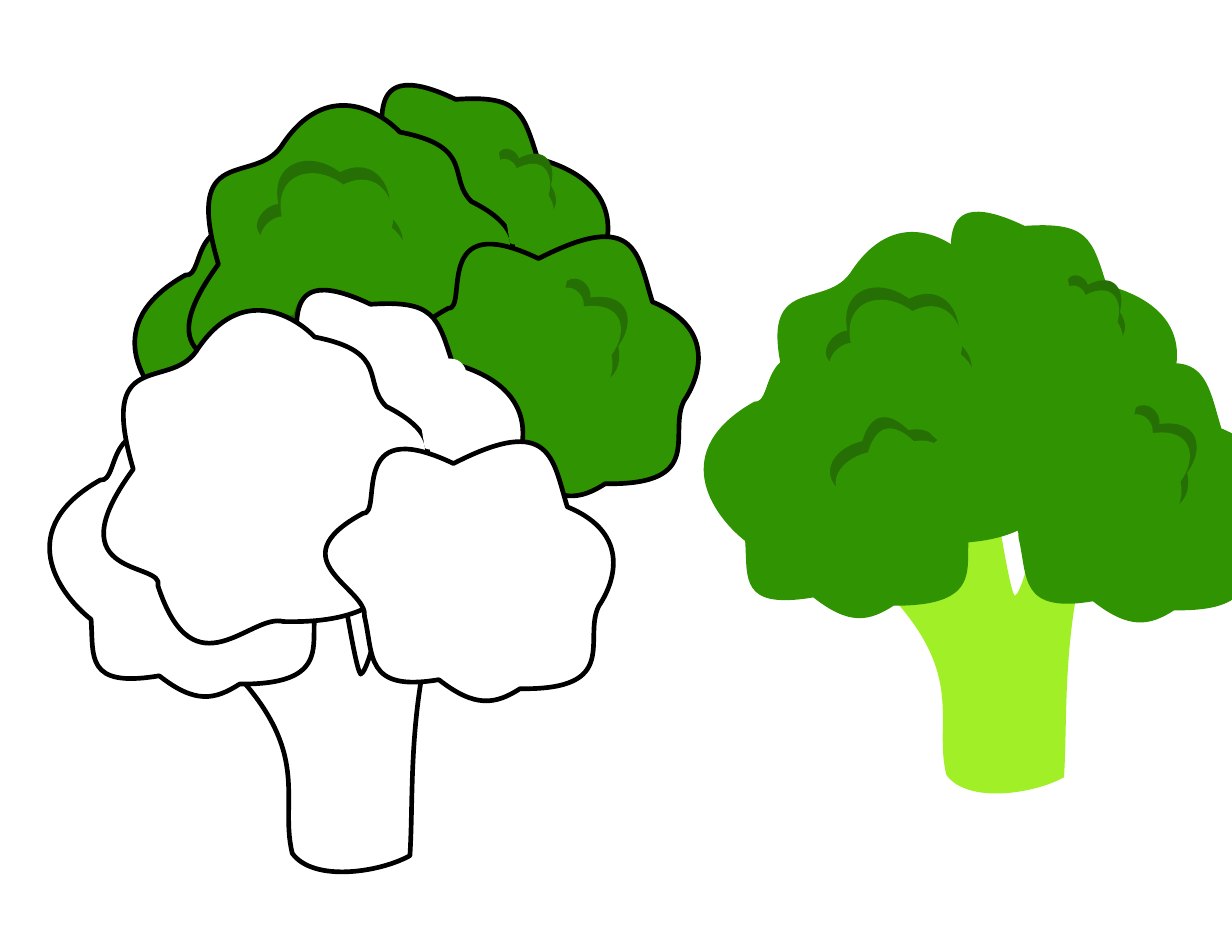
from lxml import etree
from pptx import Presentation
from pptx.dml.color import RGBColor
from pptx.oxml.ns import qn
from pptx.util import Inches, Pt

GREEN, DARK_GREEN, LIME = "309302", "266F05", "A1EF27"
WHITE, BLACK = "FFFFFF", "000000"

# Each part: frame (left, top, width, height), rotation, start point,
# then Bezier curves (control, control, end)
TOP_FLORET = ((2.77, 0.84, 2.81, 2.49), 39.6, (4.23, 1.17), [
    (5.04, 0.8, 5.25, 1.42, 5.27, 1.63), (5.5, 1.78, 6.21, 2.07, 5.5, 2.65),
    (5.42, 2.9, 5, 3.05, 4.59, 3.06), (4.15, 3.56, 4.03, 3.3, 3.81, 3.05),
    (3.42, 3.06, 2.75, 2.87, 3.07, 2.05), (3.24, 1.94, 2.29, 1.49, 3.33, 1.23),
    (3.74, 0.84, 3.86, 0.93, 4.23, 1.17)])
STALK = ((2.39, 2.97, 2.38, 2.98), 0, (2.39, 3.75), [
    (2.77, 3.78, 2.42, 3.3, 2.79, 3.33), (2.87, 3.36, 3.34, 4.12, 3.42, 4.14),
    (3.48, 4.13, 3.19, 3.05, 3.25, 3.03), (3.43, 3.16, 3.54, 2.88, 3.73, 3.01),
    (3.78, 3.08, 3.92, 4.12, 3.98, 4.19), (4.08, 4.15, 4.23, 3.22, 4.34, 3.17),
    (4.49, 3.21, 4.58, 3.14, 4.77, 3.28), (4.38, 4.36, 4.46, 5.19, 4.42, 5.81),
    (4.15, 5.96, 3.56, 6.05, 3.37, 5.79), (3.23, 5.23, 3.67, 4.77, 2.39, 3.75)])
LEFT_FLORET = ((1.27, 1.94, 2.42, 2.49), 39.6, (2.79, 2.23), [
    (3.4, 2.04, 3.55, 2.52, 3.57, 2.74), (3.65, 3.05, 4.21, 3.18, 3.5, 3.76),
    (3.42, 4.01, 3.31, 4.15, 2.9, 4.16), (2.46, 4.67, 2.34, 4.4, 2.11, 4.16),
    (1.73, 4.17, 1.06, 3.98, 1.38, 3.15), (1.55, 3.04, 0.9, 2.59, 1.93, 2.33),
    (2.41, 1.86, 2.42, 2, 2.79, 2.23)])
MAIN_FLORET = ((1.69, 0.94, 2.89, 2.97), 0, (2.51, 1.31), [
    (2.91, 0.69, 3.4, 1, 3.57, 1.18), (4.25, 1.31, 3.99, 1.59, 4.21, 1.8),
    (4.89, 2.14, 4.44, 2.46, 4.32, 2.69), (4.41, 3.06, 4.49, 3.75, 3.29, 3.72),
    (3, 3.64, 2.49, 4.38, 2.17, 3.4), (2.24, 3.18, 1.22, 3.35, 1.95, 2.36),
    (1.63, 1.27, 2.26, 1.66, 2.51, 1.31)])
RIGHT_FLORET = ((3.79, 2, 2.36, 2.52), 39.6, (5.27, 2.28), [
    (5.88, 2.09, 6.03, 2.56, 6.05, 2.78), (6.12, 3.1, 6.69, 3.23, 5.98, 3.8),
    (5.9, 4.05, 5.78, 4.19, 5.37, 4.2), (4.93, 4.71, 4.78, 4.4, 4.5, 4.19),
    (4.36, 3.97, 3.57, 4.31, 3.9, 3.49), (4.06, 3.38, 3.2, 2.89, 4.24, 2.63),
    (4.63, 1.72, 4.9, 2.04, 5.27, 2.28)])

# Creases, each with the shift of the cover that leaves only a crescent
CREASES = [
    (((2.33, 2.59, 0.96, 0.75), 0, (2.58, 3.34), [
        (2.16, 3.17, 2.34, 2.87, 2.62, 2.81), (2.72, 2.47, 2.93, 2.61, 3.03, 2.71),
        (3.24, 2.68, 3.23, 2.77, 3.29, 2.8)]), (0.05, 0.1)),
    (((2.35, 1.4, 1.25, 1.13), 23.6, (2.49, 2.36), [
        (2.29, 2.34, 2.35, 2.09, 2.47, 2.03), (2.25, 1.72, 2.52, 1.47, 2.86, 1.55),
        (3.09, 1.27, 3.38, 1.5, 3.41, 1.73), (3.61, 1.78, 3.67, 1.95, 3.63, 2.05)]),
     (0.03, 0.11)),
    (((4.67, 2.56, 0.98, 0.91), 70.6, (4.65, 2.94), [
        (4.62, 2.83, 4.75, 2.74, 4.86, 2.79), (4.93, 2.44, 5.2, 2.48, 5.35, 2.7),
        (5.62, 2.74, 5.66, 2.95, 5.53, 3.12), (5.62, 3.28, 5.58, 3.39, 5.49, 3.42)]),
     (-0.06, 0.08)),
    (((4.28, 1.36, 0.73, 0.68), 60.5, (4.26, 1.7), [
        (4.22, 1.63, 4.31, 1.55, 4.39, 1.57), (4.4, 1.3, 4.6, 1.3, 4.74, 1.44),
        (4.95, 1.43, 5, 1.58, 4.93, 1.72), (5.01, 1.83, 5, 1.92, 4.94, 1.95)]),
     (-0.02, 0.09)),
]


def color(hex_string):
    return RGBColor.from_string(hex_string)


def bend_segments(shape, frame):
    """Turn each three line segments into one Bezier curve inside the frame."""
    left, top, width, height = frame
    path = shape._element.find(".//" + qn("a:path"))
    for point in path.iter(qn("a:pt")):
        point.set("x", str(int(point.get("x")) + shape.left - left))
        point.set("y", str(int(point.get("y")) + shape.top - top))
    path.set("w", str(width))
    path.set("h", str(height))
    segments = path.findall(qn("a:lnTo"))
    for index in range(0, len(segments), 3):
        curve = etree.Element(qn("a:cubicBezTo"))
        segments[index].addprevious(curve)
        for segment in segments[index:index + 3]:
            curve.append(segment[0])
            path.remove(segment)
    shape.left, shape.top, shape.width, shape.height = frame


def add_curved_shape(group, part, shift, fill, line=None, closed=True):
    (left, top, width, height), rotation, start, curves = part
    shift_x, shift_y = shift

    def place(x, y):
        return Inches(x + shift_x), Inches(y + shift_y)

    vertices = [place(curve[i], curve[i + 1]) for curve in curves for i in (0, 2, 4)]
    builder = group.shapes.build_freeform(*place(*start), scale=1.0)
    builder.add_line_segments(vertices, close=closed)
    shape = builder.convert_to_shape()
    bend_segments(shape, (*place(left, top), Inches(width), Inches(height)))
    shape.rotation = rotation
    shape.shadow.inherit = False
    shape.fill.solid()
    shape.fill.fore_color.rgb = color(fill)
    if line:
        shape.line.color.rgb = color(line)
        shape.line.width = Pt(3)
    else:
        shape.line.fill.background()


def add_broccoli(slide, shift, floret_fill, stalk_fill, crease_fill, line=None):
    group = slide.shapes.add_group_shape()
    # Stalk and florets, from back to front
    for part in (TOP_FLORET, STALK, LEFT_FLORET, MAIN_FLORET, RIGHT_FLORET):
        fill = stalk_fill if part is STALK else floret_fill
        add_curved_shape(group, part, shift, fill, line)
    # Dark creases, then their covers
    for crease, _ in CREASES:
        add_curved_shape(group, crease, shift, crease_fill, closed=False)
    for crease, (cover_x, cover_y) in CREASES:
        cover_shift = (shift[0] + cover_x, shift[1] + cover_y)
        add_curved_shape(group, crease, cover_shift, floret_fill, closed=False)


def main():
    presentation = Presentation()
    presentation.slide_width = Inches(11)
    presentation.slide_height = Inches(8.5)
    slide = presentation.slides.add_slide(presentation.slide_layouts[6])

    # Outlined in colour, plain in colour, and line art
    add_broccoli(slide, (0, 0), GREEN, LIME, DARK_GREEN, BLACK)
    add_broccoli(slide, (5.08, 1.13), GREEN, LIME, DARK_GREEN)
    add_broccoli(slide, (-0.76, 1.83), WHITE, WHITE, WHITE, BLACK)

    presentation.save("out.pptx")


if __name__ == "__main__":
    main()
